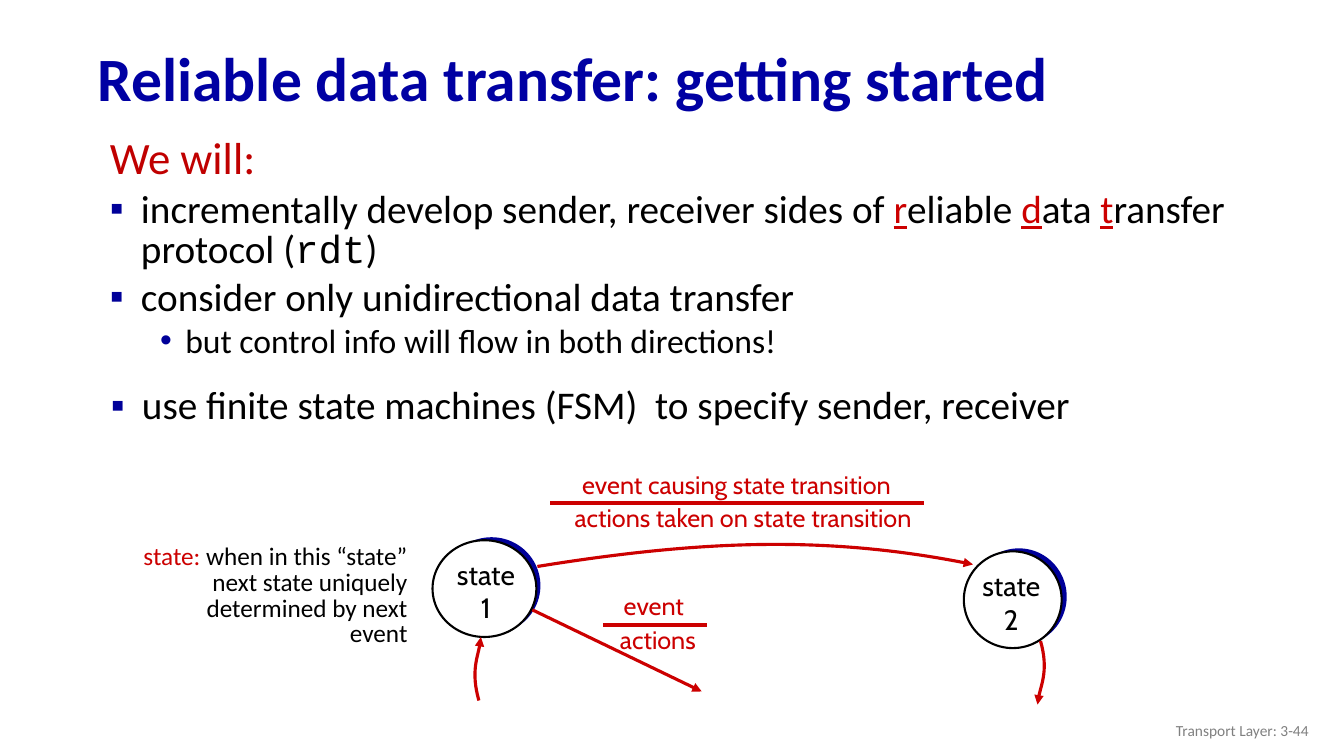
from lxml import etree
from pptx import Presentation
from pptx.dml.color import RGBColor
from pptx.enum import shapes, text
from pptx.oxml import ns
from pptx.util import Inches, Pt

NAVY = RGBColor(0x00, 0x00, 0xA3)
BLUE = RGBColor(0x00, 0x00, 0x99)
CRIMSON = RGBColor(0xC0, 0x00, 0x00)
RED = RGBColor(0xCC, 0x00, 0x00)
BLACK = RGBColor(0x00, 0x00, 0x00)
WHITE = RGBColor(0xFF, 0xFF, 0xFF)
GRAY = RGBColor(0x80, 0x80, 0x80)
LEFT, CENTER, RIGHT = text.PP_ALIGN.LEFT, text.PP_ALIGN.CENTER, text.PP_ALIGN.RIGHT

KEY = dict(color=RED, underline=True)
SQUARE = dict(size=28, bullet="▪", indent=(0.31, -0.31), spacing=0.85, before=0.2)
DOT = dict(SQUARE, size=24, bullet="•", indent=(0.75, -0.25), level=1)
HEADING = dict(SQUARE, size=32, bullet=None, color=CRIMSON)

TITLE = "Reliable data transfer: getting started"
FOOTER = "Transport Layer: 3-44"
GOALS = [
    (["We will:"], HEADING),
    (["incrementally develop sender, receiver sides of ", ("r", KEY), "eliable ",
      ("d", KEY), "ata ", ("t", KEY), "ransfer protocol (",
      ("rdt", dict(font="Courier New")), ")"], SQUARE),
    (["consider only unidirectional data transfer"], SQUARE),
    (["but control info will flow in both directions!"], DOT),
]
FSM_GOAL = [(["use finite state machines (FSM)  to specify sender, receiver"], SQUARE)]
STATE_NOTE = [([("state:", dict(color=RED)),
                " when in this “state” next state uniquely determined by next event"],
               dict(indent=(0.38, -0.38), spacing=0.85, before=0.2))]

STATES = [
    ("1", (4.39, 5.33, 0.97, 0.96), (4.29, 5.36, 1.03, 0.96), (4.42, 5.48, 0.8, 0.77)),
    ("2", (9.63, 5.44, 0.95, 0.96), (9.56, 5.47, 0.97, 0.96), (9.63, 5.59, 0.8, 0.77)),
]
LABELS = [
    ("event causing state transition", (5.58, 4.61, 3.45, 0.4)),
    ("actions taken on state transition", (5.5, 4.93, 3.74, 0.4)),
    ("event", (6.08, 5.81, 0.81, 0.4)),
    ("actions", (6.04, 6.14, 0.97, 0.4)),
]
CURVES = [
    [(5.33, 5.62), (6.94, 5.36), (8.23, 5.31), (9.65, 5.6)],
    [(4.75, 6.95), (4.67, 6.67), (4.77, 6.41), (4.77, 6.32)],
    [(10.32, 6.36), (10.4, 6.64), (10.29, 6.9), (10.29, 6.99)],
]
LINES = [
    ((5.46, 4.99), (9.16, 4.99), False),
    ((5.28, 6.05), (6.96, 6.86), True),
    ((5.98, 6.2), (7.01, 6.2), False),
]


def inches(values):
    return [Inches(v) for v in values]


def add_xml(parent, tag, **attrs):
    return etree.SubElement(parent, ns.qn(tag), attrs)


def format_paragraph(p, align, size, bullet=None, indent=None, spacing=None,
                     before=0, level=0):
    p.alignment = align
    p.level = level
    if spacing:
        p.line_spacing = spacing
    p.space_before = Pt(round(size * before, 1))
    pPr = p._p.get_or_add_pPr()
    if indent:
        pPr.set("marL", str(Inches(indent[0])))
        pPr.set("indent", str(Inches(indent[1])))
    if bullet:
        add_xml(add_xml(pPr, "a:buClr"), "a:srgbClr", val=str(BLUE))
        add_xml(pPr, "a:buFont", typeface="Arial")
        add_xml(pPr, "a:buChar", char=bullet)
    else:
        add_xml(pPr, "a:buNone")


def add_text(s, box, paragraphs, size=18, font="Calibri", color=BLACK, bold=False,
             align=LEFT, anchor=text.MSO_ANCHOR.TOP, wrap=True):
    tf = s.shapes.add_textbox(*inches(box)).text_frame
    tf.word_wrap = wrap
    tf.vertical_anchor = anchor
    for i, (runs, style) in enumerate(paragraphs):
        p = tf.paragraphs[0] if i == 0 else tf.add_paragraph()
        style = dict(dict(size=size, color=color), **style)
        look = dict(color=style.pop("color"), font=font, underline=False)
        format_paragraph(p, align, **style)
        for run in runs:
            words, extra = (run, {}) if isinstance(run, str) else run
            run_look = dict(look, **extra)
            r = p.add_run()
            r.text = words
            r.font.size = Pt(style["size"])
            r.font.bold = bold
            r.font.name = run_look["font"]
            r.font.color.rgb = run_look["color"]
            if run_look["underline"]:
                r.font.underline = True


def add_ellipse(s, box, fill, outlined):
    sp = s.shapes.add_shape(shapes.MSO_SHAPE.OVAL, *inches(box))
    sp.shadow.inherit = False
    sp.fill.solid()
    sp.fill.fore_color.rgb = fill
    if outlined:
        sp.line.color.rgb = BLACK
        sp.line.width = Pt(1.5)
    else:
        sp.line.fill.background()


def style_stroke(sp, arrow):
    sp.line.color.rgb = RED
    sp.line.width = Pt(2.25)
    if arrow:
        add_xml(sp.line._get_or_add_ln(), "a:tailEnd", type="triangle")


def add_curve(s, points):
    builder = s.shapes.build_freeform(*inches(points[0]), scale=1.0)
    builder.add_line_segments([inches(p) for p in points[1:]], close=False)
    sp = builder.convert_to_shape()
    sp.shadow.inherit = False
    sp.fill.background()
    segments = list(sp._element.iter(ns.qn("a:lnTo")))
    bezier = add_xml(segments[0].getparent(), "a:cubicBezTo")
    for segment in segments:
        bezier.append(segment[0])
        segment.getparent().remove(segment)
    style_stroke(sp, True)


def add_line(s, start, end, arrow):
    line = s.shapes.add_connector(shapes.MSO_CONNECTOR.STRAIGHT,
                                  *inches(start), *inches(end))
    style_stroke(line, arrow)
    add_xml(line._element.spPr, "a:effectLst")


def main():
    prs = Presentation()
    prs.slide_width, prs.slide_height = Inches(13.33), Inches(7.5)
    s = prs.slides.add_slide(prs.slide_layouts[6])

    add_text(s, (0.87, 0.32, 12.14, 0.98), [([TITLE], dict(spacing=0.9))], size=44,
             color=NAVY, bold=True, anchor=text.MSO_ANCHOR.MIDDLE)
    add_text(s, (0.99, 1.32, 12.09, 3.67), GOALS)
    add_text(s, (1, 3.8, 12.09, 0.59), FSM_GOAL)

    for number, shade, circle, label in STATES:
        add_ellipse(s, shade, BLUE, False)
        add_ellipse(s, circle, WHITE, True)
        add_text(s, label, [(["state"], {}), ([number], {})], size=20, font="Cabin",
                 align=CENTER, wrap=False)
    for words, box in LABELS:
        add_text(s, box, [([words], {})], font="Cabin", color=RED, align=CENTER, wrap=False)
    for points in CURVES:
        add_curve(s, points)
    for start, end, arrow in LINES:
        add_line(s, start, end, arrow)

    add_text(s, (1.11, 5.36, 3.03, 1.35), STATE_NOTE, align=RIGHT)
    add_text(s, (10.08, 7.05, 3, 0.4), [([FOOTER], {})], size=11, color=GRAY,
             align=RIGHT, anchor=text.MSO_ANCHOR.MIDDLE)
    prs.save("out.pptx")


if __name__ == "__main__":
    main()
